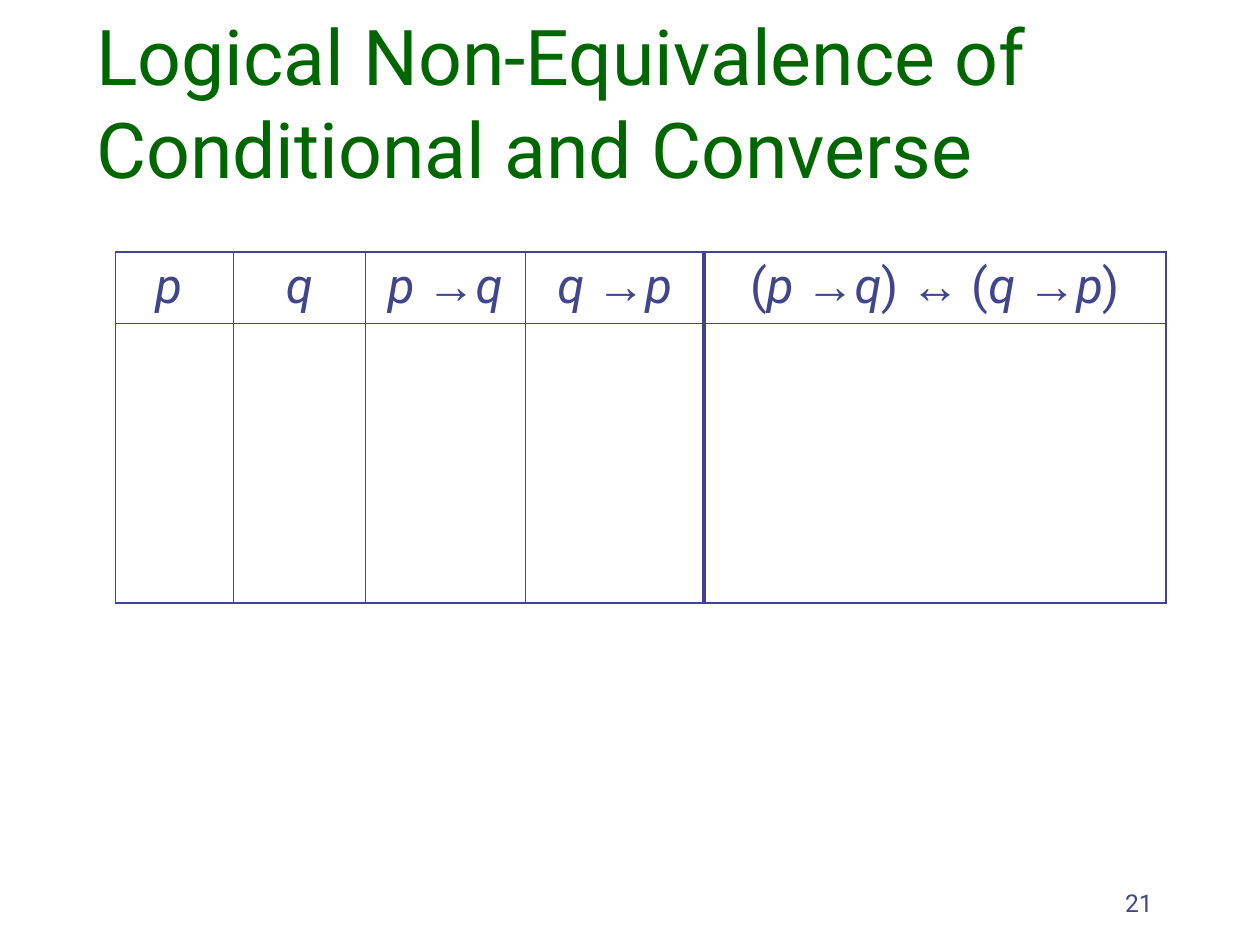
from lxml.etree import SubElement
from pptx import Presentation
from pptx.dml.color import RGBColor
from pptx.enum.text import MSO_ANCHOR, PP_ALIGN
from pptx.oxml.ns import qn
from pptx.util import Cm, Pt

COLORS = {"title": "006600", "ink": "40458C"}
HAIRLINE, OUTER, DIVIDER = 0.45, 1.08, 3


def add_text(left, top, width, height, text, size, color, align):
    box = slide.shapes.add_textbox(Cm(left), Cm(top), Cm(width), Cm(height))
    frame = box.text_frame
    frame.word_wrap = True
    frame.vertical_anchor = MSO_ANCHOR.BOTTOM
    paragraph = frame.paragraphs[0]
    paragraph.text = text
    paragraph.alignment = align
    paragraph.font.name = "Roboto"
    paragraph.font.size = Pt(size)
    paragraph.font.color.rgb = RGBColor.from_string(color)


def add_border(cell, side, points):
    line = SubElement(cell._tc.get_or_add_tcPr(), qn(f"a:ln{side}"), w=str(Pt(points)))
    fill = SubElement(line, qn("a:solidFill"))
    SubElement(fill, qn("a:srgbClr"), val=COLORS["ink"])


prs = Presentation()
prs.slide_width, prs.slide_height = Cm(25.4), Cm(19.05)
slide = prs.slides.add_slide(prs.slide_layouts[6])

add_text(18.2, 17.35, 5.29, 1.27, "21", 14, COLORS["ink"], PP_ALIGN.RIGHT)
add_text(1.69, 0.85, 21.59, 3.18, "Logical Non-Equivalence of Conditional and Converse",
         44, COLORS["title"], PP_ALIGN.LEFT)

formulas = [
    ["p "],
    ["q"],
    ["p ", "→", "q"],
    ["q ", "→", "p"],
    ["(", "p ", "→", "q", ") ", "↔", " (", "q ", "→", "p", ")"],
]
column_widths = [2.38, 2.65, 3.23, 3.6, 9.32]
row_heights = [1.44, 5.64]
truth_table = slide.shapes.add_table(
    len(row_heights), len(column_widths), Cm(2.33), Cm(5.08),
    Cm(sum(column_widths)), Cm(sum(row_heights))).table
truth_table.first_row = False
truth_table.horz_banding = False
for column, width in zip(truth_table.columns, column_widths):
    column.width = Cm(width)
for row, height in zip(truth_table.rows, row_heights):
    row.height = Cm(height)

vertical_rules = [OUTER, HAIRLINE, HAIRLINE, HAIRLINE, DIVIDER, OUTER]
horizontal_rules = [OUTER, HAIRLINE, OUTER]
for r in range(len(row_heights)):
    for c in range(len(column_widths)):
        cell = truth_table.cell(r, c)
        add_border(cell, "L", vertical_rules[c])
        add_border(cell, "R", vertical_rules[c + 1])
        add_border(cell, "T", horizontal_rules[r])
        add_border(cell, "B", horizontal_rules[r + 1])
        cell.fill.background()

for c, formula in enumerate(formulas):
    heading = truth_table.cell(0, c).text_frame.paragraphs[0]
    heading.alignment = PP_ALIGN.CENTER
    heading.font.size = Pt(28)
    heading.font.color.rgb = RGBColor.from_string(COLORS["ink"])
    for symbol in formula:
        run = heading.add_run()
        run.text = symbol
        run.font.name = "Arial" if symbol in "→↔" else "Roboto"
        run.font.italic = symbol.strip() in "pq"

prs.save("out.pptx")
